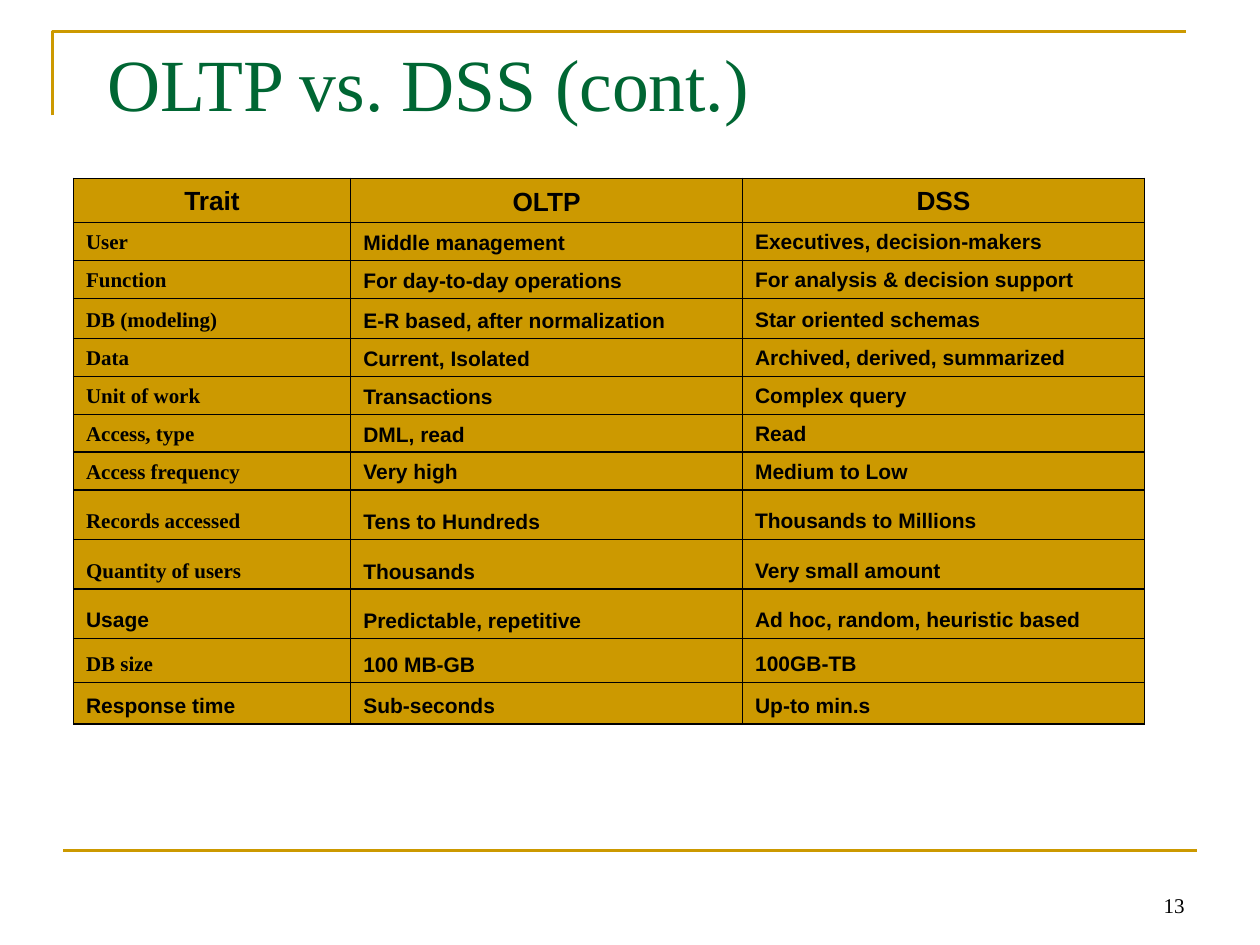
from lxml.etree import SubElement
from pptx import Presentation
from pptx.dml.color import RGBColor
from pptx.enum.shapes import MSO_CONNECTOR
from pptx.enum.text import MSO_ANCHOR, MSO_AUTO_SIZE, PP_ALIGN
from pptx.oxml.ns import qn
from pptx.util import Pt

TITLE = "OLTP vs. DSS (cont.)"
PAGE_NUMBER = "13"
HEADINGS = ("Trait", "OLTP", "DSS")
TRAITS = [
    ("User", "Middle management", "Executives, decision-makers"),
    ("Function", "For day-to-day operations", "For analysis & decision support"),
    ("DB (modeling)", "E-R based, after normalization", "Star oriented schemas"),
    ("Data", "Current, Isolated", "Archived, derived, summarized"),
    ("Unit of work", "Transactions", "Complex query"),
    ("Access, type", "DML, read", "Read"),
    ("Access frequency", "Very high", "Medium to Low"),
    ("Records accessed", "Tens to Hundreds", "Thousands to Millions"),
    ("Quantity of users", "Thousands", "Very small amount"),
    ("Usage", "Predictable, repetitive", "Ad hoc, random, heuristic based"),
    ("DB size", "100 MB-GB", "100GB-TB"),
    ("Response time", "Sub-seconds", "Up-to min.s"),
]
SANS_TRAITS = {"Usage", "Response time"}
COLUMN_WIDTHS = (158.4, 223.9, 229.7)
ROW_HEIGHTS = (25.2, 21.6, 21.6, 23, 21.6, 21.6, 21.6, 21.6, 28.4, 28.3, 28.3, 25, 23.8)
COLORS = {"gold": "CC9900", "green": "006633", "black": "000000"}
SERIF, SANS = "Times New Roman", "Arial"


def color(name):
    """Return the named colour."""
    return RGBColor.from_string(COLORS[name])


def write(paragraph, text, face, size, ink="black", bold=False):
    """Add one formatted run to a paragraph."""
    run = paragraph.add_run()
    run.text = text
    run.font.name, run.font.size, run.font.bold = face, Pt(size), bold
    run.font.color.rgb = color(ink)


def add_title(slide):
    """Place and format the title placeholder."""
    title = slide.shapes.title
    title.left, title.top, title.width, title.height = Pt(54), Pt(18), Pt(612), Pt(90)
    frame = title.text_frame
    frame.auto_size = MSO_AUTO_SIZE.NONE
    frame.vertical_anchor = MSO_ANCHOR.TOP
    frame.paragraphs[0].alignment = PP_ALIGN.LEFT
    write(frame.paragraphs[0], TITLE, SERIF, 42, "green")


def add_rules(slide):
    """Draw the corner bracket and the footer line."""
    builder = slide.shapes.build_freeform(Pt(30), Pt(66))
    builder.add_line_segments([(Pt(30), Pt(18)), (Pt(678), Pt(18))], close=False)
    bracket = builder.convert_to_shape()
    bracket.shadow.inherit = False
    bracket.fill.background()
    footer = slide.shapes.add_connector(
        MSO_CONNECTOR.STRAIGHT, Pt(36), Pt(486), Pt(684), Pt(486))
    SubElement(footer.element.spPr, qn("a:effectLst"))
    for rule in (bracket, footer):
        rule.line.color.rgb = color("gold")
        rule.line.width = Pt(1.5)


def add_page_number(slide):
    """Write the page number at the bottom right."""
    frame = slide.shapes.add_textbox(Pt(516), Pt(492), Pt(168), Pt(36)).text_frame
    frame.word_wrap = True
    frame.vertical_anchor = MSO_ANCHOR.BOTTOM
    frame.paragraphs[0].alignment = PP_ALIGN.RIGHT
    write(frame.paragraphs[0], PAGE_NUMBER, SERIF, 12)


def add_borders(cell):
    """Give a cell thin black borders on all sides."""
    properties = cell._tc.get_or_add_tcPr()
    for side in ("lnL", "lnR", "lnT", "lnB"):
        border = SubElement(properties, qn(f"a:{side}"), w=str(Pt(1)))
        fill = SubElement(border, qn("a:solidFill"))
        SubElement(fill, qn("a:srgbClr"), val=COLORS["black"])


def fill_cell(cell, text, is_heading, column):
    """Format one table cell and write its text."""
    add_borders(cell)
    cell.fill.solid()
    cell.fill.fore_color.rgb = color("gold")
    cell.vertical_anchor = MSO_ANCHOR.BOTTOM
    paragraph = cell.text_frame.paragraphs[0]
    if is_heading:
        paragraph.alignment = PP_ALIGN.CENTER
    else:
        indent = paragraph._p.get_or_add_pPr()
        indent.set("marL", str(Pt(27)))
        indent.set("indent", str(-Pt(27)))
    if column == 1:
        paragraph.line_spacing = 0.8
    serif = column == 0 and not is_heading and text not in SANS_TRAITS
    write(paragraph, text, SERIF if serif else SANS, 15 if is_heading else 12, bold=True)


def add_comparison(slide):
    """Build the comparison table."""
    rows = [HEADINGS, *TRAITS]
    table = slide.shapes.add_table(
        len(rows), len(HEADINGS), Pt(42), Pt(102),
        Pt(sum(COLUMN_WIDTHS)), Pt(sum(ROW_HEIGHTS))).table
    table.horz_banding = False
    for column, width in zip(table.columns, COLUMN_WIDTHS):
        column.width = Pt(width)
    for row, height in zip(table.rows, ROW_HEIGHTS):
        row.height = Pt(height)
    for r, texts in enumerate(rows):
        for c, text in enumerate(texts):
            fill_cell(table.cell(r, c), text, r == 0, c)


def main():
    """Build and save the slide."""
    deck = Presentation()
    deck.slide_width, deck.slide_height = Pt(720), Pt(540)
    slide = deck.slides.add_slide(deck.slide_layouts[5])
    add_rules(slide)
    add_page_number(slide)
    add_title(slide)
    add_comparison(slide)
    deck.save("out.pptx")


if __name__ == "__main__":
    main()
